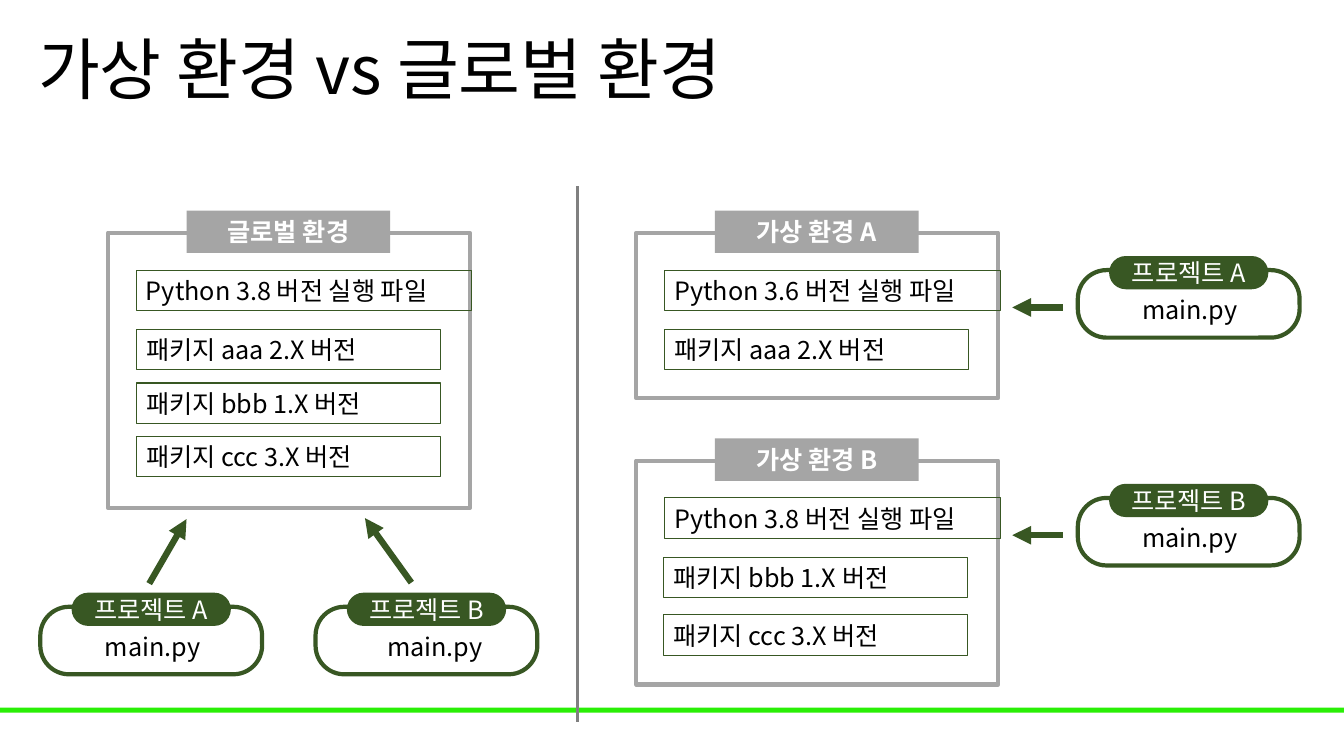
from lxml.etree import SubElement
from pptx import Presentation
from pptx.dml.color import RGBColor
from pptx.enum.shapes import MSO_CONNECTOR, MSO_SHAPE
from pptx.enum.text import MSO_ANCHOR, PP_ALIGN
from pptx.oxml.ns import qn
from pptx.util import Inches, Pt

FONT = "Noto Sans CJK KR"
BLACK = RGBColor(0x00, 0x00, 0x00)
WHITE = RGBColor(0xFF, 0xFF, 0xFF)
GREEN = RGBColor(0x38, 0x57, 0x23)
LIME = RGBColor(0x2A, 0xEF, 0x06)
GRAY = RGBColor(0xA5, 0xA5, 0xA5)
DIVIDER = RGBColor(0x80, 0x80, 0x80)


def write(shape, text, size=18, color=BLACK, bold=False, centered=False,
          anchor=MSO_ANCHOR.TOP):
    """Put one styled run of text in a shape."""
    frame = shape.text_frame
    frame.word_wrap = True
    frame.vertical_anchor = anchor
    paragraph = frame.paragraphs[0]
    paragraph.alignment = PP_ALIGN.CENTER if centered else PP_ALIGN.LEFT
    run = paragraph.add_run()
    run.text = text
    run.font.size = Pt(size)
    run.font.bold = bold
    run.font.color.rgb = color
    run.font.name = FONT
    SubElement(run.font._element, qn("a:ea")).set("typeface", FONT)
    return paragraph


def add_box(slide, left, top, width, height, fill=None, line=None,
            weight=3, rounding=None):
    """Add a rectangle, rounded when a rounding is given."""
    kind = MSO_SHAPE.RECTANGLE if rounding is None else MSO_SHAPE.ROUNDED_RECTANGLE
    box = slide.shapes.add_shape(
        kind, Inches(left), Inches(top), Inches(width), Inches(height))
    box.shadow.inherit = False
    if rounding is not None:
        box.adjustments[0] = rounding
    if fill is None:
        box.fill.background()
    else:
        box.fill.solid()
        box.fill.fore_color.rgb = fill
    if line is None:
        box.line.fill.background()
    else:
        box.line.color.rgb = line
        box.line.width = Pt(weight)
    return box


def add_text(slide, text, left, top, width, height, **style):
    """Add a text box and return its paragraph."""
    box = slide.shapes.add_textbox(
        Inches(left), Inches(top), Inches(width), Inches(height))
    return write(box, text, **style)


def add_line(slide, start, end, color, weight, arrow=False):
    """Add a straight line, with an arrowhead at its end on request."""
    line = slide.shapes.add_connector(
        MSO_CONNECTOR.STRAIGHT, *map(Inches, start + end))
    line.line.color.rgb = color
    line.line.width = Pt(weight)
    if arrow:
        SubElement(line.line._get_or_add_ln(), qn("a:tailEnd")).set("type", "triangle")
    SubElement(line._element.spPr, qn("a:effectLst"))


def add_environment(slide, name, left, top, height, python, packages,
                    indent=0.28):
    """Add an environment frame with its Python version and packages."""
    add_box(slide, left, top, 3.59, height, line=GRAY)
    label = add_box(slide, left + 0.78, top - 0.22, 2.02, 0.42, fill=GRAY)
    write(label, name, color=WHITE, bold=True, centered=True,
          anchor=MSO_ANCHOR.MIDDLE)
    executable = add_box(slide, left + 0.28, top + 0.37, 3.33, 0.4,
                         line=GREEN, weight=0.75)
    write(executable, f"Python {python} 버전 실행 파일")
    for offset, package in packages:
        row = add_box(slide, left + indent, top + offset, 3.02, 0.4,
                      line=GREEN, weight=0.75)
        write(row, f"패키지 {package} 버전")


def add_project(slide, letter, left, top, file_indent=0.54):
    """Add a project card holding its main file."""
    add_box(slide, left, top, 2.2, 0.67, line=GREEN, rounding=0.426)
    add_text(slide, "main.py", left + file_indent, top + 0.19, 1.29, 0.4)
    badge = add_box(slide, left + 0.31, top - 0.14, 1.58, 0.33, fill=GREEN,
                    rounding=0.5)
    write(badge, f"프로젝트 {letter}", color=WHITE, centered=True,
          anchor=MSO_ANCHOR.MIDDLE)


def main():
    """Build the slide comparing virtual and global environments."""
    deck = Presentation()
    deck.slide_width, deck.slide_height = Inches(13.33), Inches(7.5)
    slide = deck.slides.add_slide(deck.slide_layouts[6])

    add_box(slide, 0, 7.02, 13.33, 0.05, fill=LIME)
    title = add_text(slide, "가상 환경 vs 글로벌 환경", 0.28, 0, 11.5, 1.45,
                     size=48, anchor=MSO_ANCHOR.MIDDLE)
    title.line_spacing = 0.9

    add_environment(slide, "글로벌 환경", 1.07, 2.31, 2.73, "3.8",
                    [(0.96, "aaa 2.X"), (1.49, "bbb 1.X"), (2.02, "ccc 3.X")])
    add_project(slide, "A", 0.4, 6.02)
    add_project(slide, "B", 3.13, 6.02, file_indent=0.61)
    add_line(slide, (1.48, 5.79), (1.85, 5.15), GREEN, 4.5, arrow=True)
    add_line(slide, (4.08, 5.78), (3.62, 5.14), GREEN, 4.5, arrow=True)

    add_environment(slide, "가상 환경 A", 6.31, 2.31, 1.64, "3.6",
                    [(0.96, "aaa 2.X")])
    add_environment(slide, "가상 환경 B", 6.31, 4.57, 2.22, "3.8",
                    [(0.96, "bbb 1.X"), (1.53, "ccc 3.X")], indent=0.27)
    for letter, top in (("A", 2.68), ("B", 4.94)):
        add_project(slide, letter, 10.69, top)
        add_line(slide, (10.54, top + 0.37), (10.04, top + 0.37), GREEN, 4.5,
                 arrow=True)

    add_line(slide, (5.73, 1.85), (5.73, 7.16), DIVIDER, 2.25)
    deck.save("out.pptx")


if __name__ == "__main__":
    main()
